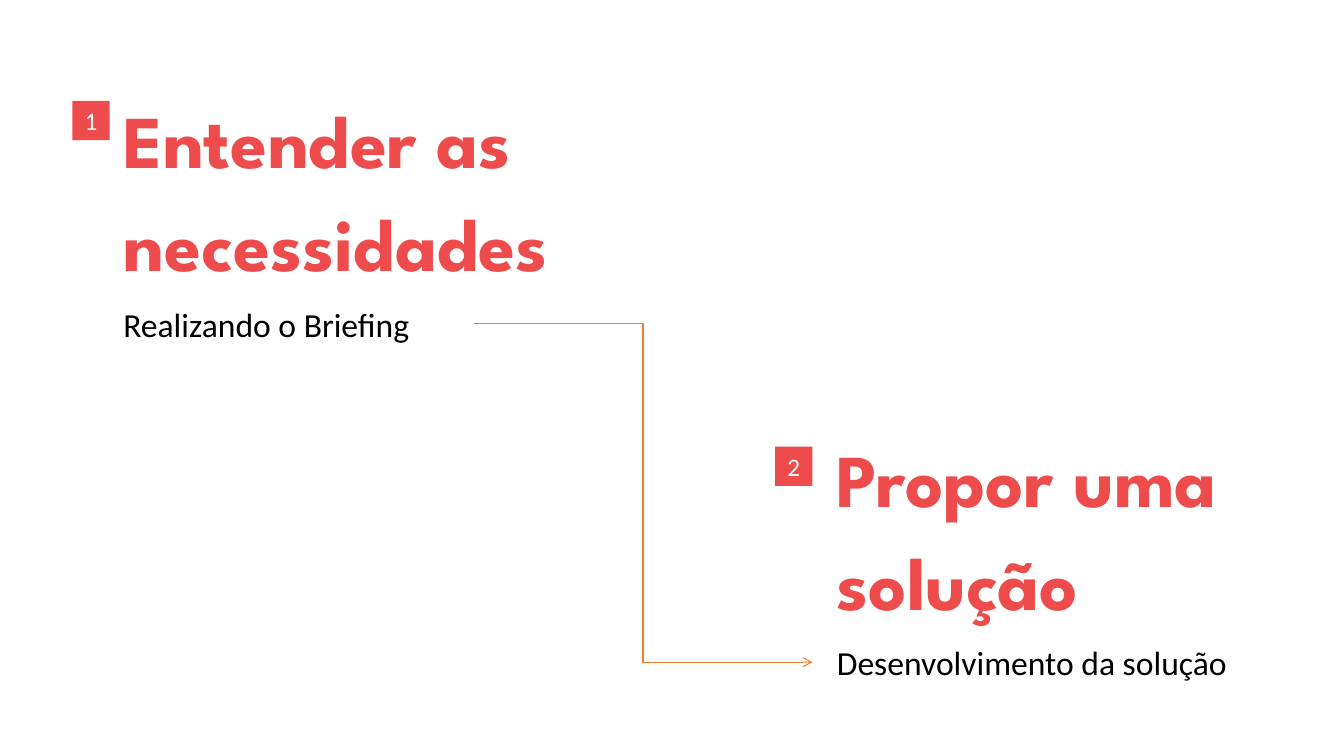
from dataclasses import dataclass

from lxml.etree import SubElement
from pptx import Presentation
from pptx.dml.color import RGBColor
from pptx.enum.shapes import MSO_CONNECTOR as Connector, MSO_SHAPE as Shape
from pptx.enum.text import MSO_ANCHOR as Anchor, PP_ALIGN as Align
from pptx.oxml.ns import qn
from pptx.util import Pt


@dataclass(frozen=True)
class Theme:
    accent: RGBColor = RGBColor(0xEE, 0x4C, 0x4C)
    badge: RGBColor = RGBColor(0xEE, 0x4B, 0x4C)
    arrow: RGBColor = RGBColor(0xED, 0x7D, 0x31)
    ink: RGBColor = RGBColor(0, 0, 0)
    paper: RGBColor = RGBColor(255, 255, 255)
    heading_font: str = "League Spartan"
    body_font: str = "Calibri"
    heading_size: float = 53.3
    body_size: float = 24
    badge_size: float = 18


THEME = Theme()
INSET = 9.6
HEADING_HEIGHT = 128.2
DETAIL_HEIGHT = 77.8
DETAIL_DROP = 125.3
BADGE_SIZE = (26.6, 28.1)


def set_attrs(target, values):
    for name, value in values.items():
        setattr(target, name, value)


def write(sp, text, font, size, color, bold=False, align=Align.LEFT, spacing=1.0):
    tf = sp.text_frame
    set_attrs(tf, {"word_wrap": True, "vertical_anchor": Anchor.MIDDLE})
    p = tf.paragraphs[0]
    set_attrs(p, {"alignment": align, "line_spacing": spacing})
    r = p.add_run()
    r.text = text
    set_attrs(r.font, {"name": font, "size": Pt(size), "bold": bold})
    r.font.color.rgb = color


def add_text(s, box, text, *style, **options):
    sp = s.shapes.add_textbox(*map(Pt, box))
    sides = ("left", "top", "right", "bottom")
    set_attrs(sp.text_frame, {f"margin_{side}": Pt(INSET) for side in sides})
    write(sp, text, *style, **options)


def add_badge(s, left, top, number):
    sp = s.shapes.add_shape(Shape.RECTANGLE, *map(Pt, (left, top, *BADGE_SIZE)))
    sp.shadow.inherit = False
    sp.fill.solid()
    sp.fill.fore_color.rgb = THEME.badge
    sp.line.fill.background()
    write(sp, str(number), THEME.body_font, THEME.badge_size, THEME.paper,
          align=Align.CENTER)


def add_step(s, number, left, top, heading, detail, heading_width, detail_width, badge):
    """Place a numbered heading with its detail line below."""
    add_text(s, (left, top + DETAIL_DROP, detail_width, DETAIL_HEIGHT), detail,
             THEME.body_font, THEME.body_size, THEME.ink)
    add_text(s, (left, top, heading_width, HEADING_HEIGHT), heading,
             THEME.heading_font, THEME.heading_size, THEME.accent,
             bold=True, spacing=1.15)
    add_badge(s, *badge, number)


def add_elbow_arrow(s, start, end):
    line = s.shapes.add_connector(Connector.ELBOW, *map(Pt, (*start, *end)))
    line.line.color.rgb = THEME.arrow
    line.line.width = Pt(0.75)
    SubElement(line.line._get_or_add_ln(), qn("a:tailEnd"), type="arrow")
    SubElement(line._element.spPr, qn("a:effectLst"))


def main():
    prs = Presentation()
    set_attrs(prs, {"slide_width": Pt(960), "slide_height": Pt(540)})
    s = prs.slides.add_slide(prs.slide_layouts[6])
    add_step(s, 1, 78.5, 67, "Entender as necessidades", "Realizando o Briefing",
             heading_width=589, detail_width=260.6, badge=(51.8, 72))
    add_step(s, 2, 588.2, 308.9, "Propor uma solução", "Desenvolvimento da solução",
             heading_width=341.3, detail_width=341.3, badge=(553.7, 319))
    add_elbow_arrow(s, (338.4, 231.1), (580.3, 473))
    prs.save("out.pptx")


if __name__ == "__main__":
    main()
